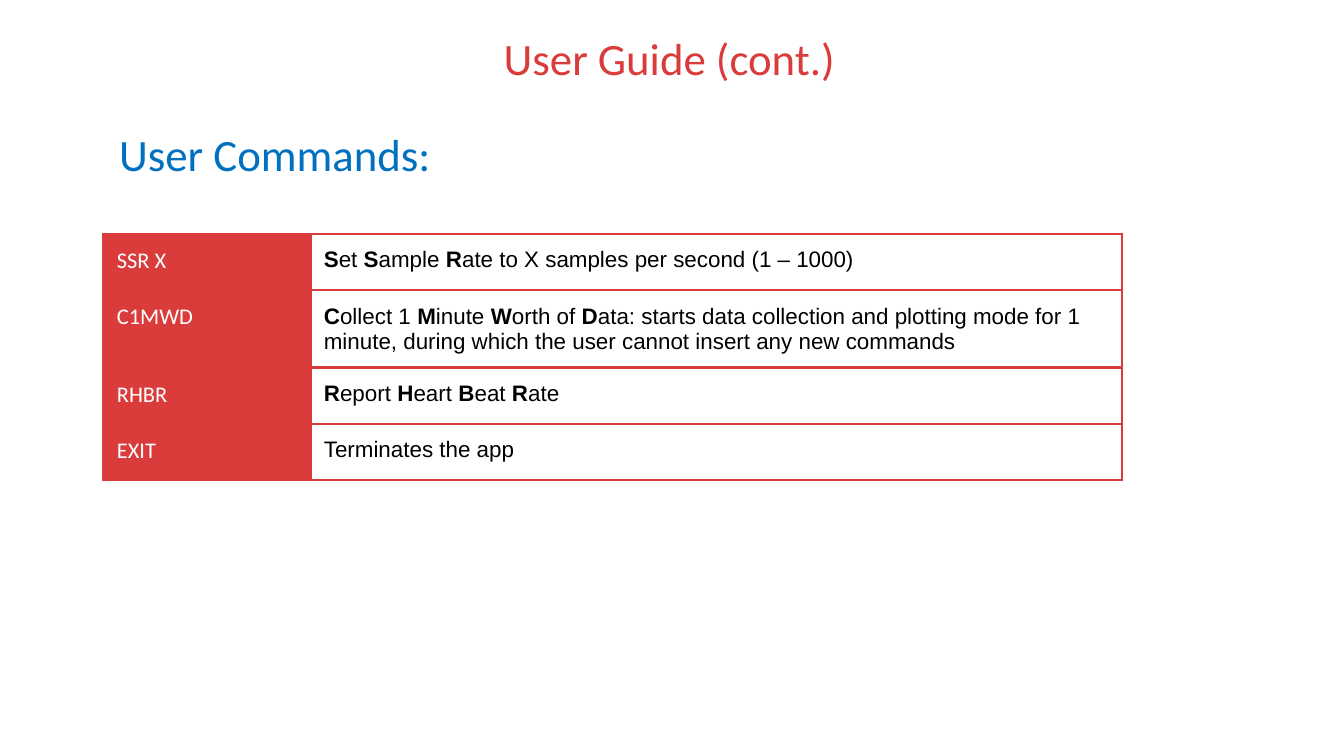
from dataclasses import dataclass

import lxml.etree
import pptx
import pptx.dml.color
import pptx.enum.text
import pptx.oxml.ns
import pptx.util

Inches = pptx.util.Inches
Align = pptx.enum.text.PP_ALIGN
Anchor = pptx.enum.text.MSO_ANCHOR


@dataclass(frozen=True)
class Theme:
    red: str = "DA3B3B"
    blue: str = "0070C0"
    white: str = "FFFFFF"
    black: str = "000000"
    heading_font: str = "Calibri"
    body_font: str = "Arial"
    heading_size: int = 24
    body_size: int = 12
    border_width: float = 1.5
    inset: float = 0.1


@dataclass(frozen=True)
class Command:
    name: str
    description: str  # *asterisks* mark bold text


THEME = Theme()

COMMANDS = [
    Command("SSR X", "*S*et *S*ample *R*ate to X samples per second (1 – 1000)"),
    Command("C1MWD", "*C*ollect 1 *M*inute *W*orth of *D*ata: starts data collection and "
                     "plotting mode for 1 minute, during which the user cannot insert "
                     "any new commands"),
    Command("RHBR", "*R*eport *H*eart *B*eat *R*ate"),
    Command("EXIT", "Terminates the app"),
]


def write_text(tf, text: str, *, font: str, size: float, color: str,
               align=Align.LEFT) -> None:
    """Fill the first paragraph, with bold wherever *asterisks* enclose text."""
    p = tf.paragraphs[0]
    p.alignment = align
    for i, part in enumerate(text.split("*")):
        if part:
            r = p.add_run()
            r.text = part
            r.font.name = font
            r.font.size = pptx.util.Pt(size)
            r.font.bold = i % 2 == 1
            r.font.color.rgb = pptx.dml.color.RGBColor.from_string(color)


def set_insets(target) -> None:
    for side in ("left", "top", "right", "bottom"):
        setattr(target, f"margin_{side}", Inches(THEME.inset))


def draw_heading(sp, text: str, color: str, left: float, top: float,
                 width: float, height: float) -> None:
    sp.left, sp.top = Inches(left), Inches(top)
    sp.width, sp.height = Inches(width), Inches(height)
    tf = sp.text_frame
    tf.word_wrap = True
    tf.auto_size = pptx.enum.text.MSO_AUTO_SIZE.NONE
    tf.vertical_anchor = Anchor.TOP
    set_insets(tf)
    write_text(tf, text, font=THEME.heading_font, size=THEME.heading_size,
               color=color, align=Align.CENTER)


def set_borders(cell, color: str, width: float) -> None:
    qn = pptx.oxml.ns.qn
    tc_pr = cell._tc.get_or_add_tcPr()
    for i, side in enumerate(("lnL", "lnR", "lnT", "lnB")):
        ln = lxml.etree.Element(qn(f"a:{side}"), w=str(pptx.util.Pt(width)))
        fill = lxml.etree.SubElement(ln, qn("a:solidFill"))
        lxml.etree.SubElement(fill, qn("a:srgbClr"), val=color)
        tc_pr.insert(i, ln)


def draw_cell(cell, text: str, *, font: str, color: str,
              fill: str | None = None) -> None:
    set_insets(cell)
    cell.vertical_anchor = Anchor.TOP
    if fill:
        cell.fill.solid()
        cell.fill.fore_color.rgb = pptx.dml.color.RGBColor.from_string(fill)
    else:
        cell.fill.background()
    set_borders(cell, THEME.red, THEME.border_width)
    write_text(cell.text_frame, text, font=font, size=THEME.body_size, color=color)


def draw_commands(s, commands: list[Command], left: float, top: float,
                  col_widths: tuple[float, float], row_height: float) -> None:
    table = s.shapes.add_table(
        len(commands), len(col_widths), Inches(left), Inches(top),
        Inches(sum(col_widths)), Inches(row_height * len(commands))).table
    table.first_row = table.horz_banding = False
    for col, width in zip(table.columns, col_widths):
        col.width = Inches(width)
    for row, command in zip(table.rows, commands):
        row.height = Inches(row_height)
        draw_cell(row.cells[0], command.name, font=THEME.heading_font,
                  color=THEME.white, fill=THEME.red)
        draw_cell(row.cells[1], command.description, font=THEME.body_font,
                  color=THEME.black)


def main() -> None:
    prs = pptx.Presentation()
    # Widescreen, 16:9
    prs.slide_width, prs.slide_height = Inches(10), Inches(10 * 9 / 16)
    s = prs.slides.add_slide(prs.slide_layouts.get_by_name("Title Only"))

    # Title
    draw_heading(s.shapes.title, "User Guide (cont.)", THEME.red, 1.15, 0.13, 7.66, 0.63)

    # Command table
    draw_commands(s, COMMANDS, 0.77, 1.74, (1.54, 6.04), 0.42)

    # Table heading
    box = s.shapes.add_textbox(0, 0, 0, 0)
    draw_heading(box, "User Commands:", THEME.blue, 0.02, 0.84, 4.05, 0.63)

    prs.save("out.pptx")


if __name__ == "__main__":
    main()
